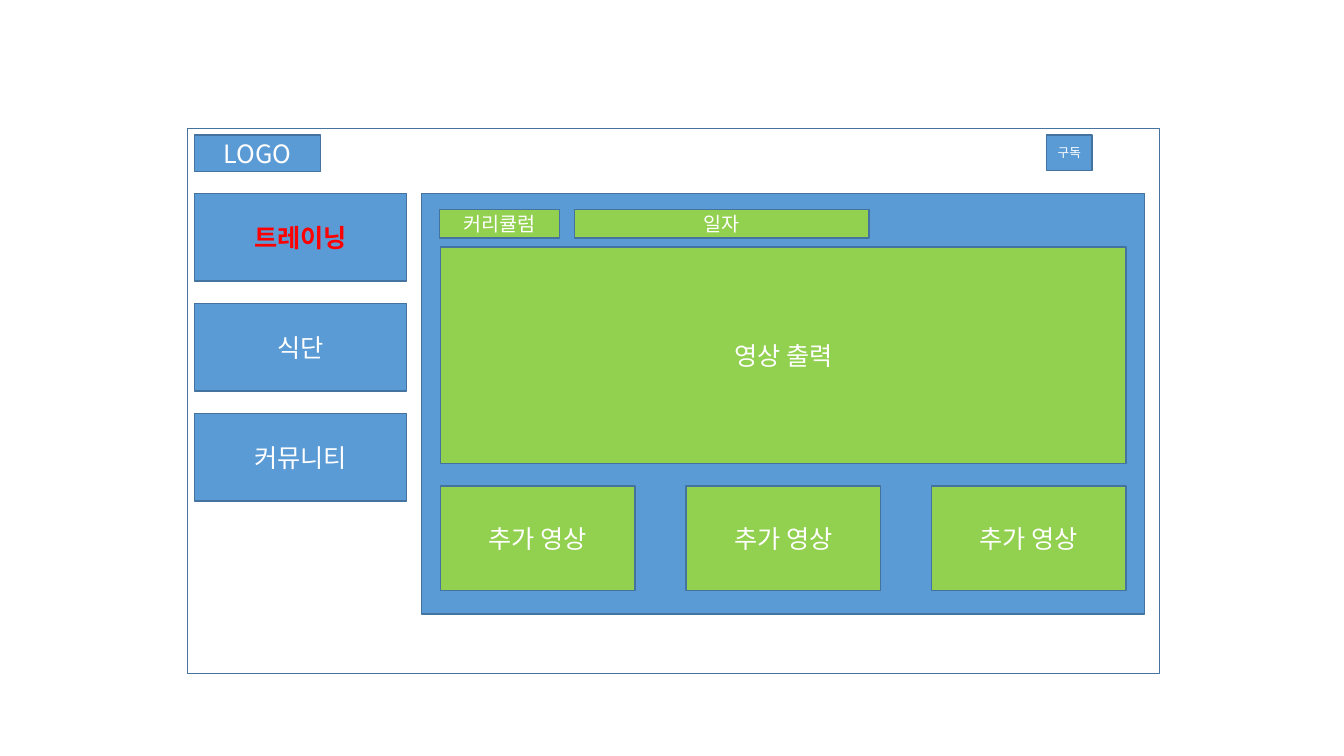
from lxml.etree import SubElement
from pptx import Presentation
from pptx.dml.color import RGBColor
from pptx.enum.shapes import MSO_SHAPE as Preset
from pptx.enum.text import MSO_ANCHOR as Anchor, PP_ALIGN as Align
from pptx.oxml.ns import qn
from pptx.util import Inches, Pt

# Content
LOGO = "LOGO"
SUBSCRIBE = "구독"
MENU = ["트레이닝", "식단", "커뮤니티"]
ACTIVE_MENU = "트레이닝"
FILTERS = [("커리큘럼", 4.36, 1.19), ("일자", 5.7, 2.92)]  # text, left, width
MAIN_VIDEO = "영상 출력"
EXTRA_VIDEOS = ["추가 영상"] * 3

# Style
FONT = "Noto Sans CJK KR"
COLORS = {"white": "FFFFFF", "blue": "5B9BD5", "green": "92D050",
          "edge": "43739E", "red": "FF0000"}

# Layout in inches
SLIDE_W, SLIDE_H = 13.33, 7.5
MENU_LEFT, MENU_W, MENU_H, MENU_STEP = 1.93, 2.1, 0.87, 1.09
HEADER_TOP, CONTENT_TOP = 1.34, 1.92
VIDEO_LEFT, VIDEO_W = 4.37, 6.8
EXTRA_W = 1.93
EXTRA_STEP = (VIDEO_W - EXTRA_W) / (len(EXTRA_VIDEOS) - 1)


def color(name):
    return RGBColor.from_string(COLORS[name])


def add_text(box, text, size=18, ink="white", bold=False):
    frame = box.text_frame
    frame.word_wrap = True
    frame.vertical_anchor = Anchor.MIDDLE
    frame.margin_left = frame.margin_right = Inches(0.05)
    frame.margin_top = frame.margin_bottom = 0
    line = frame.paragraphs[0]
    line.alignment = Align.CENTER
    run = line.add_run()
    run.text = text
    run.font.name, run.font.size, run.font.bold = FONT, Pt(size), bold
    run.font.color.rgb = color(ink)
    SubElement(run.font._element, qn("a:ea"), typeface=FONT)


def add_box(parent, left, top, width, height, fill, text=None, edge=1, **text_format):
    box = parent.shapes.add_shape(
        Preset.RECTANGLE, *map(Inches, (left, top, width, height)))
    box.shadow.inherit = False
    box.fill.solid()
    box.fill.fore_color.rgb = color(fill)
    box.line.color.rgb = color("edge")
    box.line.width = Pt(edge)
    if text:
        add_text(box, text, **text_format)


def main():
    deck = Presentation()
    deck.slide_width, deck.slide_height = Inches(SLIDE_W), Inches(SLIDE_H)
    slide = deck.slides.add_slide(deck.slide_layouts[6])
    page = slide.shapes.add_group_shape()

    # Page frame and logo slot
    add_box(page, 1.86, 1.27, 9.64, 5.41, "white", edge=0.25)
    add_box(page, MENU_LEFT, HEADER_TOP, 1.25, 0.36, "blue", LOGO)

    # Side menu
    for row, item in enumerate(MENU):
        active = item == ACTIVE_MENU
        add_box(page, MENU_LEFT, CONTENT_TOP + row * MENU_STEP, MENU_W, MENU_H,
                "blue", item, ink="red" if active else "white", bold=active)

    # Video panel
    add_box(page, 4.18, CONTENT_TOP, 7.17, 4.17, "blue")
    add_box(page, VIDEO_LEFT, 2.45, VIDEO_W, 2.15, "green", MAIN_VIDEO)
    for column, video in enumerate(EXTRA_VIDEOS):
        add_box(page, VIDEO_LEFT + column * EXTRA_STEP, 4.82, EXTRA_W, 1.04,
                "green", video)
    for label, left, width in FILTERS:
        add_box(page, left, 2.08, width, 0.28, "green", label, size=14)

    # Subscribe button
    add_box(slide, 10.38, HEADER_TOP, 0.45, 0.35, "blue", SUBSCRIBE, size=9)

    deck.save("out.pptx")


if __name__ == "__main__":
    main()
